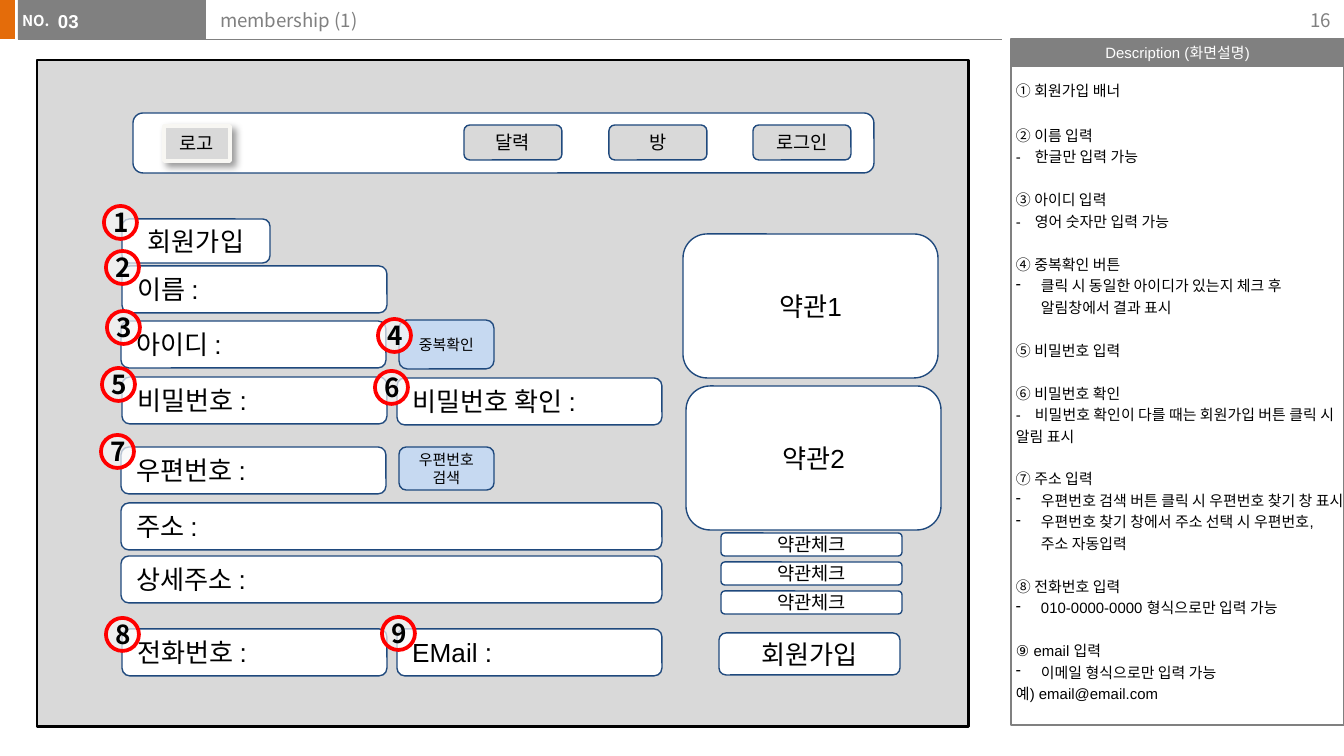
from lxml.etree import SubElement
from pptx import Presentation
from pptx.dml.color import RGBColor
from pptx.enum.shapes import MSO_CONNECTOR, MSO_SHAPE
from pptx.enum.text import MSO_ANCHOR, PP_ALIGN
from pptx.oxml.ns import qn
from pptx.util import Pt

PX = 914400 / 134.4
LATIN, KOREAN = "Arial", "Noto Sans CJK KR"

BLACK = RGBColor(0x00, 0x00, 0x00)
WHITE = RGBColor(0xFF, 0xFF, 0xFF)
ORANGE = RGBColor(0xE4, 0x6C, 0x0A)
GRAY = RGBColor(0x80, 0x80, 0x80)
PANEL = RGBColor(0xD9, 0xD9, 0xD9)
NAVY = RGBColor(0x1F, 0x49, 0x7D)
LIGHT_BLUE = RGBColor(0xC6, 0xD9, 0xF1)
RED = RGBColor(0xFF, 0x00, 0x00)
OFF_WHITE = RGBColor(0xF8, 0xF8, 0xF8)
BEVEL = RGBColor(0xF8, 0xF7, 0xF3)

# Heading of each description block, then (style, text) of its lines
DESCRIPTION = [
    ("① 회원가입 배너", []),
    ("② 이름 입력", [("tab", "한글만 입력 가능")]),
    ("③ 아이디 입력", [("tab", "영어 숫자만 입력 가능")]),
    ("④ 중복확인 버튼", [
        ("bullet", "클릭 시 동일한 아이디가 있는지 체크 후 알림창에서 결과 표시")]),
    ("⑤ 비밀번호 입력", []),
    ("⑥ 비밀번호 확인", [
        ("tab", "비밀번호 확인이 다를 때는 회원가입 버튼 클릭 시 알림 표시")]),
    ("⑦ 주소 입력", [
        ("bullet", "우편번호 검색 버튼 클릭 시 우편번호 찾기 창 표시"),
        ("bullet", "우편번호 찾기 창에서 주소 선택 시 우편번호, 주소 자동입력")]),
    ("⑧ 전화번호 입력", [("bullet", "010-0000-0000 형식으로만 입력 가능")]),
    ("⑨ email 입력", [
        ("bullet", "이메일 형식으로만 입력 가능"),
        ("plain", "예) email@email.com")]),
]

# Input fields: left, top, width, label
FIELDS = [
    (122, 266, 265, "이름 :"),
    (121, 321, 265, "아이디 :"),
    (122, 377, 265, "비밀번호 :"),
    (397, 378, 265, "비밀번호 확인 :"),
    (121, 447, 265, "우편번호 :"),
    (121, 503, 541, "주소 :"),
    (121, 556, 541, "상세주소 :"),
    (122, 629, 265, "전화번호 :"),
    (397, 629, 265, "EMail :"),
]

# Left and top of the markers 1 to 9
MARKERS = [(104, 206), (106, 251), (107, 311), (378, 319), (102, 368),
           (375, 371), (101, 435), (106, 618), (382, 617)]


def px(length):
    return round(length * PX)


def add_run(paragraph, text, size, color, font=LATIN, bold=False):
    run = paragraph.add_run()
    run.text = text
    run.font.size = Pt(size)
    run.font.name = font
    run.font.bold = bold
    run.font.color.rgb = color
    SubElement(run._r.get_or_add_rPr(), qn("a:ea"), typeface=KOREAN)


def set_frame(frame, insets, anchor=MSO_ANCHOR.MIDDLE, wrap=True):
    frame.word_wrap = wrap
    frame.vertical_anchor = anchor
    (frame.margin_left, frame.margin_top,
     frame.margin_right, frame.margin_bottom) = [px(inset) for inset in insets]


def write(shape, text, size, color=BLACK, align=PP_ALIGN.CENTER, font=LATIN,
          bold=False, insets=(13, 0, 13, 0), wrap=True):
    set_frame(shape.text_frame, insets, wrap=wrap)
    paragraph = shape.text_frame.paragraphs[0]
    paragraph.alignment = align
    add_run(paragraph, text, size, color, font, bold)
    return paragraph


def add_box(slide, kind, box, fill=None, line=None, width=0.75):
    shape = slide.shapes.add_shape(kind, *[px(value) for value in box])
    shape.shadow.inherit = False
    if fill is None:
        shape.fill.background()
    else:
        shape.fill.solid()
        shape.fill.fore_color.rgb = fill
    if line is None:
        shape.line.fill.background()
    else:
        shape.line.color.rgb = line
        shape.line.width = Pt(width)
    return shape


def add_label(slide, box, text, size, fill=WHITE, align=PP_ALIGN.CENTER):
    shape = add_box(slide, MSO_SHAPE.ROUNDED_RECTANGLE, box, fill, NAVY)
    return write(shape, text, size, align=align)


def add_text(slide, box, text, size, color, **style):
    shape = slide.shapes.add_textbox(*[px(value) for value in box])
    write(shape, text, size, color, **style)


def add_marker(slide, left, top, number):
    marker = add_box(slide, MSO_SHAPE.OVAL, (left, top, 33, 33), OFF_WHITE, RED, 2)
    color = marker._element.spPr.find(qn("a:solidFill"))[0]
    SubElement(color, qn("a:alpha"), val="70000")
    write(marker, str(number), 14, font=KOREAN, bold=True, insets=(5, 0, 5, 0))


def add_logo(slide):
    logo = add_box(slide, MSO_SHAPE.RECTANGLE, (164, 126, 66, 35), PANEL, BEVEL, 2)
    effects = logo._element.spPr.find(qn("a:effectLst"))
    shadow = SubElement(effects, qn("a:outerShdw"), blurRad=str(Pt(4)),
                        dist=str(Pt(3)), dir="2700000", algn="tl", rotWithShape="0")
    color = SubElement(shadow, qn("a:srgbClr"), val=str(BLACK))
    SubElement(color, qn("a:alpha"), val="40000")
    write(logo, "로고", 10, font=KOREAN)


def add_header(slide):
    add_box(slide, MSO_SHAPE.RECTANGLE, (-1, 0, 16, 39), ORANGE)
    rule = slide.shapes.add_connector(
        MSO_CONNECTOR.STRAIGHT, px(18), px(39), px(1002), px(39))
    rule.line.color.rgb = GRAY
    rule.line.width = Pt(0.5)
    SubElement(rule._element.spPr, qn("a:effectLst"))
    add_box(slide, MSO_SHAPE.RECTANGLE, (18, 0, 188, 39), GRAY)
    add_text(slide, (9, 4, 55, 32), "NO.", 8, WHITE, font=KOREAN, bold=True,
             align=PP_ALIGN.LEFT, wrap=False)
    add_text(slide, (58, 1, 148, 40), "03", 10, WHITE, bold=True,
             align=PP_ALIGN.LEFT, insets=(0, 0, 0, 0))
    add_text(slide, (1263, 0, 81, 40), "16", 10, GRAY, font=KOREAN,
             align=PP_ALIGN.RIGHT)

    title = slide.shapes.title
    title.left, title.top, title.width, title.height = map(px, (207, 3, 794, 43))
    write(title, "membership (1)", 10, GRAY, PP_ALIGN.LEFT, KOREAN,
          insets=(13, 0, 13, 9))


def add_line_style(paragraph, style):
    properties = paragraph._p.get_or_add_pPr()
    if style == "bullet":
        properties.set("marL", str(px(25)))
        properties.set("indent", str(px(-25)))
        SubElement(properties, qn("a:buChar"), char="-")
    elif style == "tab":
        stops = SubElement(properties, qn("a:tabLst"))
        SubElement(stops, qn("a:tab"), pos=str(px(19)), algn="l")


def add_description(slide):
    heading = add_box(slide, MSO_SHAPE.RECTANGLE, (1011, 39, 333, 28), GRAY)
    write(heading, "Description (화면설명)", 8, WHITE, wrap=False)
    add_box(slide, MSO_SHAPE.RECTANGLE, (1011, 39, 333, 686), None, GRAY)
    shape = slide.shapes.add_textbox(px(1011), px(71), px(333), px(656))
    frame = shape.text_frame
    set_frame(frame, (5, 7, 0, 7), MSO_ANCHOR.TOP)
    for block, (title, lines) in enumerate(DESCRIPTION):
        for row, (style, text) in enumerate([("plain", title), *lines]):
            first = block == row == 0
            paragraph = frame.paragraphs[0] if first else frame.add_paragraph()
            add_line_style(paragraph, style)
            paragraph.line_spacing = Pt(11.5)
            if row == 0 and block > 0:
                paragraph.space_before = Pt(12.5 if block == 1 else 11.5)
            add_run(paragraph, "-\t" + text if style == "tab" else text, 8, BLACK)


def add_screen(slide):
    add_box(slide, MSO_SHAPE.RECTANGLE, (37, 60, 932, 667), PANEL, BLACK, 1.5)

    # Navigation bar
    add_box(slide, MSO_SHAPE.ROUNDED_RECTANGLE, (133, 113, 741, 60), WHITE, NAVY)
    for left, text in [(464, "달력"), (609, "방"), (753, "로그인")]:
        add_label(slide, (left, 125, 98, 35), text, 10, PANEL)
    add_logo(slide)

    # Sign-up form
    add_label(slide, (122, 219, 148, 44), "회원가입", 14)
    for left, top, width, text in FIELDS:
        add_label(slide, (left, top, width, 47), text, 14, align=PP_ALIGN.LEFT)
    add_label(slide, (399, 320, 95, 49), "중복확인", 8, LIGHT_BLUE)
    search = add_label(slide, (399, 447, 95, 43), "우편번호 검색", 8, LIGHT_BLUE)
    search.line_spacing = Pt(9.6)

    # Terms and submit button
    add_label(slide, (683, 234, 255, 144), "약관1", 14)
    add_label(slide, (686, 386, 255, 144), "약관2", 14)
    for row in range(3):
        add_label(slide, (721, 533 + row * 29, 181, 23), "약관체크", 10)
    add_label(slide, (719, 633, 181, 42), "회원가입", 14)

    # Numbered markers
    for number, (left, top) in enumerate(MARKERS, 1):
        add_marker(slide, left, top, number)


def main():
    presentation = Presentation()
    presentation.slide_width = px(1344)
    presentation.slide_height = px(756)
    slide = presentation.slides.add_slide(presentation.slide_layouts[5])
    add_header(slide)
    add_description(slide)
    add_screen(slide)
    presentation.save("out.pptx")


if __name__ == "__main__":
    main()
